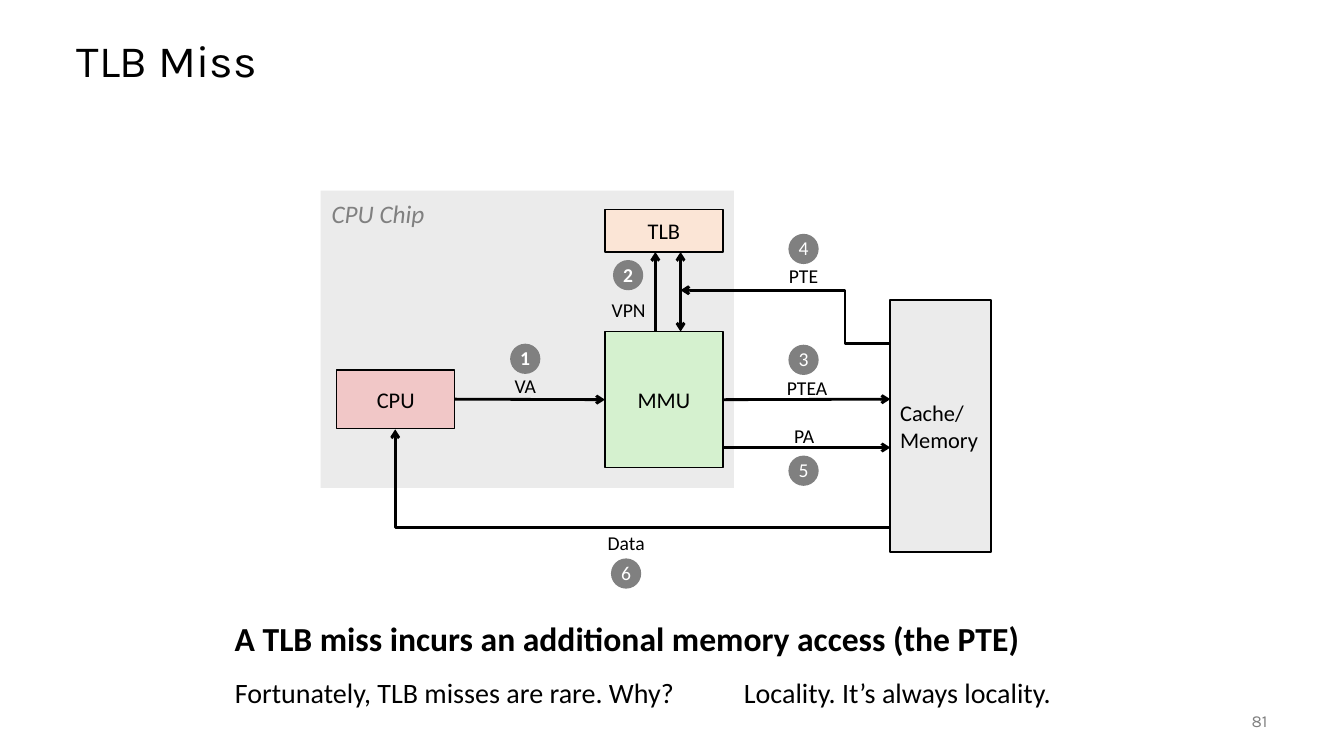
"""Build the TLB miss slide with its address translation diagram."""
from dataclasses import dataclass
from typing import Optional

from lxml.etree import SubElement
from pptx import Presentation
from pptx.dml.color import RGBColor
from pptx.enum.shapes import MSO_CONNECTOR as Connector, MSO_SHAPE as Preset
from pptx.enum.text import MSO_ANCHOR as Anchor, MSO_AUTO_SIZE as AutoSize, PP_ALIGN as Align
from pptx.oxml.ns import qn
from pptx.shapes.autoshape import Shape
from pptx.shapes.shapetree import SlideShapes
from pptx.text.text import TextFrame
from pptx.util import Inches, Pt

BLACK = RGBColor(0x00, 0x00, 0x00)
WHITE = RGBColor(0xFF, 0xFF, 0xFF)
GRAY = RGBColor(0x80, 0x80, 0x80)
LIGHT_GRAY = RGBColor(0xEB, 0xEB, 0xEB)
GREEN = RGBColor(0xD5, 0xF1, 0xCF)
PINK = RGBColor(0xF1, 0xC7, 0xC7)
PEACH = RGBColor(0xFB, 0xE5, 0xD6)
BADGE_SIZE = 0.3
LABEL_HEIGHT = 0.33


@dataclass(frozen=True)
class Style:
    size: float
    color: RGBColor = BLACK
    font: str = "Calibri"
    bold: bool = False
    italic: bool = False
    align: Align = Align.LEFT
    spacing: Optional[float] = None


@dataclass(frozen=True)
class Block:
    name: str
    left: float
    top: float
    width: float
    height: float
    fill: RGBColor
    border: float = 1
    align: Align = Align.CENTER


@dataclass(frozen=True)
class Label:
    text: str
    left: float
    top: float
    width: float
    height: float
    style: Style
    wrap: bool = False
    anchor: Anchor = Anchor.TOP


@dataclass(frozen=True)
class Badge:
    number: str
    left: float
    top: float
    bold: bool = False


@dataclass(frozen=True)
class Arrow:
    start: tuple[float, float]
    end: tuple[float, float]
    source: Optional[tuple[str, int]] = None
    target: Optional[tuple[str, int]] = None
    both_ends: bool = False
    bend: Optional[str] = None
    bend_at: Optional[float] = None


SIGNAL = Style(14, align=Align.CENTER, spacing=0.98)
NOTE = Style(20)

BLOCKS = [
    Block("", 3.18, 1.89, 4.1, 2.95, LIGHT_GRAY, border=0),
    Block("MMU", 6, 3.29, 1.17, 1.35, GREEN),
    Block("Cache/\nMemory", 8.83, 2.98, 1, 2.5, LIGHT_GRAY, 1.5, Align.LEFT),
    Block("CPU", 3.34, 3.67, 1.17, 0.58, PINK),
    Block("TLB", 6, 2.08, 1.17, 0.42, PEACH),
]
ARROWS = [
    Arrow((4.51, 3.96), (6, 3.96), source=("CPU", 3), target=("MMU", 1)),
    Arrow((7.17, 3.96), (8.83, 3.96), source=("MMU", 3)),
    Arrow((7.17, 4.44), (8.83, 4.44)),
    Arrow((6.5, 3.29), (6.5, 2.5)),
    Arrow((6.75, 2.5), (6.75, 3.29), both_ends=True),
    Arrow((8.83, 5.23), (3.92, 4.26), bend="bentConnector2"),
    Arrow((8.83, 3.41), (6.75, 2.88), bend="bentConnector3", bend_at=0.216),
]
LABELS = [
    Label("CPU Chip", 3.19, 1.92, 1.16, 0.4, Style(18, GRAY, italic=True)),
    Label("VA", 5, 3.67, 0.42, LABEL_HEIGHT, SIGNAL, anchor=Anchor.MIDDLE),
    Label("VPN", 5.96, 2.92, 0.55, LABEL_HEIGHT, SIGNAL, anchor=Anchor.MIDDLE),
    Label("PTEA", 7.7, 3.69, 0.61, LABEL_HEIGHT, SIGNAL, anchor=Anchor.MIDDLE),
    Label("PTE", 7.72, 2.58, 0.5, LABEL_HEIGHT, SIGNAL, anchor=Anchor.MIDDLE),
    Label("PA", 7.77, 4.17, 0.41, LABEL_HEIGHT, SIGNAL, anchor=Anchor.MIDDLE),
    Label("Data", 5.92, 5.23, 0.58, LABEL_HEIGHT, SIGNAL, anchor=Anchor.MIDDLE),
    Label("A TLB miss incurs an additional memory access (the PTE)",
          2.23, 6.08, 8.43, 0.55, Style(24, bold=True), wrap=True),
    Label("Fortunately, TLB misses are rare. Why?", 2.23, 6.65, 4.65, 0.44, NOTE),
    Label("Locality. It’s always locality.", 7.28, 6.65, 3.28, 0.44, NOTE),
    Label("81", 11.67, 6.95, 1, 0.4, Style(12, GRAY, "Karla", align=Align.RIGHT),
          wrap=True, anchor=Anchor.MIDDLE),
]
BADGES = [
    Badge("1", 5.06, 3.41, bold=True),
    Badge("2", 6.08, 2.58, bold=True),
    Badge("3", 7.82, 3.42),
    Badge("4", 7.82, 2.32),
    Badge("5", 7.82, 4.52),
    Badge("6", 6.06, 5.54),
]


def write(frame: TextFrame, text: str, style: Style, anchor: Anchor = Anchor.MIDDLE,
          wrap: bool = False) -> None:
    """Fill a text frame with one styled run per line."""
    frame.word_wrap = wrap
    frame.vertical_anchor = anchor
    for index, line in enumerate(text.split("\n")):
        paragraph = frame.add_paragraph() if index else frame.paragraphs[0]
        paragraph.alignment = style.align
        if style.spacing:
            paragraph.line_spacing = style.spacing
        run = paragraph.add_run()
        run.text = line
        run.font.name = style.font
        run.font.size = Pt(style.size)
        run.font.bold = style.bold
        run.font.italic = style.italic
        run.font.color.rgb = style.color


def add_block(shapes: SlideShapes, block: Block) -> Shape:
    """Draw a hardware block with its name."""
    shape = shapes.add_shape(Preset.RECTANGLE, Inches(block.left), Inches(block.top),
                             Inches(block.width), Inches(block.height))
    shape.shadow.inherit = False
    shape.fill.solid()
    shape.fill.fore_color.rgb = block.fill
    if block.border:
        shape.line.color.rgb = BLACK
        shape.line.width = Pt(block.border)
    else:
        shape.line.fill.background()
    if block.name:
        write(shape.text_frame, block.name, Style(16, align=block.align))
    return shape


def add_badge(shapes: SlideShapes, badge: Badge) -> None:
    """Draw a numbered step circle."""
    shape = shapes.add_shape(Preset.OVAL, Inches(badge.left), Inches(badge.top),
                             Inches(BADGE_SIZE), Inches(BADGE_SIZE))
    shape.shadow.inherit = False
    shape.fill.solid()
    shape.fill.fore_color.rgb = GRAY
    shape.line.fill.background()
    write(shape.text_frame, badge.number,
          Style(14, WHITE, bold=badge.bold, align=Align.CENTER, spacing=0.98))


def add_label(shapes: SlideShapes, label: Label) -> None:
    """Place a text box."""
    box = shapes.add_textbox(Inches(label.left), Inches(label.top),
                             Inches(label.width), Inches(label.height))
    write(box.text_frame, label.text, label.style, label.anchor, label.wrap)
    box.text_frame.auto_size = AutoSize.NONE if label.wrap else AutoSize.SHAPE_TO_FIT_TEXT


def add_arrow(shapes: SlideShapes, arrow: Arrow, blocks: dict[str, Shape]) -> None:
    """Draw a straight or bent arrow, joined to blocks where given."""
    kind = Connector.ELBOW if arrow.bend else Connector.STRAIGHT
    connector = shapes.add_connector(kind, *map(Inches, arrow.start + arrow.end))
    if arrow.source:
        connector.begin_connect(blocks[arrow.source[0]], arrow.source[1])
    if arrow.target:
        connector.end_connect(blocks[arrow.target[0]], arrow.target[1])
    connector.line.color.rgb = BLACK
    connector.line.width = Pt(2)
    properties = connector._element.spPr
    geometry = properties.find(qn("a:prstGeom"))
    if arrow.bend:
        geometry.set("prst", arrow.bend)
    if arrow.bend_at:
        SubElement(geometry.find(qn("a:avLst")), qn("a:gd"), name="adj1",
                   fmla=f"val {round(arrow.bend_at * 100000)}")
    line = properties.find(qn("a:ln"))
    for end in ("a:headEnd", "a:tailEnd") if arrow.both_ends else ("a:tailEnd",):
        SubElement(line, qn(end), type="arrow")
    SubElement(properties, qn("a:effectLst"))


def main() -> None:
    """Assemble and save the slide."""
    presentation = Presentation()
    presentation.slide_width, presentation.slide_height = Inches(13.33), Inches(7.5)
    slide = presentation.slides.add_slide(presentation.slide_layouts[5])
    title = slide.shapes.title
    title.left, title.top, title.width, title.height = map(Inches, (0.66, 0.25, 12, 0.75))
    write(title.text_frame, "TLB Miss", Style(32, font="Karla", spacing=0.9), wrap=True)
    title.text_frame.auto_size = AutoSize.NONE
    blocks = {block.name: add_block(slide.shapes, block) for block in BLOCKS}
    for arrow in ARROWS:
        add_arrow(slide.shapes, arrow, blocks)
    for label in LABELS:
        add_label(slide.shapes, label)
    for badge in BADGES:
        add_badge(slide.shapes, badge)
    presentation.save("out.pptx")


if __name__ == "__main__":
    main()
